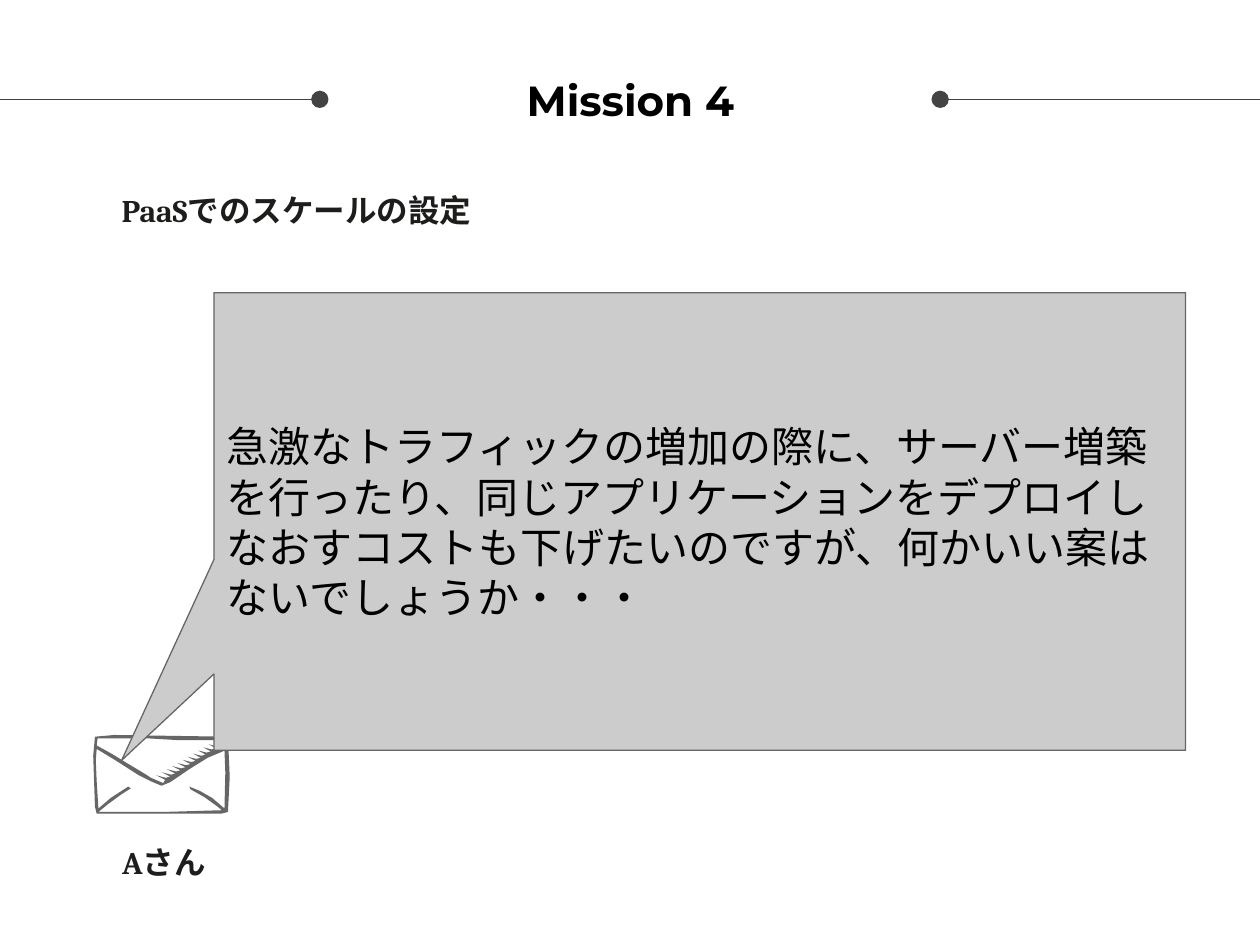
from lxml import etree
from pptx import Presentation
from pptx.dml.color import RGBColor
from pptx.enum import shapes, text
from pptx.oxml import ns
from pptx.util import Pt

BLACK = RGBColor(0x00, 0x00, 0x00)
INK = RGBColor(0x1D, 0x1D, 0x1B)
RULE = RGBColor(0x43, 0x43, 0x43)
OUTLINE = RGBColor(0x66, 0x66, 0x66)
BUBBLE = RGBColor(0xCC, 0xCC, 0xCC)

LEFT, CENTER = text.PP_ALIGN.LEFT, text.PP_ALIGN.CENTER
TOP, MIDDLE = text.MSO_ANCHOR.TOP, text.MSO_ANCHOR.MIDDLE
TITLE_FONT = {"name": "Montserrat", "size": Pt(24), "bold": True}
LABEL_FONT = {"name": "Cambria", "size": Pt(18), "bold": True}
SPEECH_FONT = {"name": "Arial", "size": Pt(24), "bold": False}

# Envelope contours, in points from its top left corner
ENVELOPE_EDGE = [(1, 1), (12, 0), (77, 1), (78, 24), (77, 44), (73, 45),
                 (42, 45), (2, 45), (1, 41), (0, 12)]
ENVELOPE_BODY = [(2, 8), (12, 14), (26, 23), (33, 26.5), (39, 29), (44, 27),
                 (55, 19.5), (65.5, 13), (75, 9), (75.5, 21.5), (75, 42),
                 (68, 36), (61, 32), (55, 29.5), (55.5, 31), (63.5, 35.5),
                 (70.5, 40.5), (73.5, 43), (40, 44), (3, 44), (8.5, 39.5),
                 (16, 34), (21.5, 30.5), (20, 29.5), (10, 36), (3, 42),
                 (2, 26.5), (1.5, 14.5)]
HATCHES = 12


def envelope_flap():
    """Flap opening, with a row of hatch strokes along its right fold."""
    flap = [(2.5, 2), (32, 2), (49, 3), (75.5, 3)]
    for i in range(HATCHES):
        flap += [(73.5 - 2.9 * i, 4.7 + 1.8 * i),
                 (69 - 3 * i, 3.6 + 1.77 * i),
                 (73 - 2.9 * i, 5.8 + 1.8 * i)]
    return flap + [(40, 27.5), (33, 24.5), (30, 22.5), (20, 16.5), (11, 11), (2, 6)]


class MissionSlide:
    def __init__(self, deck):
        self.slide = deck.slides.add_slide(deck.slide_layouts[5])
        self.inset = Pt(7.2)
        self.line_width = Pt(0.75)

    def set_text(self, shape, words, font, color, align=LEFT, anchor=TOP):
        frame = shape.text_frame
        frame.text = words
        frame_format = {"word_wrap": True, "auto_size": text.MSO_AUTO_SIZE.NONE,
                        "vertical_anchor": anchor}
        for side in ("left", "top", "right", "bottom"):
            frame_format["margin_" + side] = self.inset
        for name, value in frame_format.items():
            setattr(frame, name, value)
        paragraph = frame.paragraphs[0]
        paragraph.alignment = align
        for name, value in font.items():
            setattr(paragraph.font, name, value)
        paragraph.font.color.rgb = color

    def title(self, words, left, top, width, height):
        heading = self.slide.shapes.title
        place = {"left": left, "top": top, "width": width, "height": height}
        for name, value in place.items():
            setattr(heading, name, Pt(value))
        self.set_text(heading, words, TITLE_FONT, BLACK, CENTER, MIDDLE)

    def label(self, words, left, top, width, height, align=LEFT):
        box = self.slide.shapes.add_textbox(*map(Pt, (left, top, width, height)))
        self.set_text(box, words, LABEL_FONT, INK, align)

    def dotted_rule(self, dot_x, end_x, y):
        """Horizontal line with a round dot at dot_x."""
        rule = self.slide.shapes.add_connector(
            shapes.MSO_CONNECTOR.STRAIGHT, *map(Pt, (dot_x, y, end_x, y)))
        rule.line.color.rgb = RULE
        rule.line.width = self.line_width
        line_xml = rule._element.spPr.find(ns.qn("a:ln"))
        etree.SubElement(line_xml, ns.qn("a:headEnd"), type="oval", w="lg", len="lg")
        etree.SubElement(rule._element.spPr, ns.qn("a:effectLst"))

    def outline(self, contours, left, top, color):
        def place(points):
            return [(Pt(left + x), Pt(top + y)) for x, y in points]

        first, *holes = map(place, contours)
        builder = self.slide.shapes.build_freeform(*first[0], scale=1.0)
        builder.add_line_segments(first[1:], close=True)
        for hole in holes:
            builder.move_to(*hole[0])
            builder.add_line_segments(hole[1:], close=True)
        drawing = builder.convert_to_shape()
        drawing.shadow.inherit = False
        drawing.fill.solid()
        drawing.fill.fore_color.rgb = color
        drawing.line.fill.background()

    def speech(self, words, left, top, width, height, tail):
        bubble = self.slide.shapes.add_shape(
            shapes.MSO_SHAPE.ROUNDED_RECTANGULAR_CALLOUT,
            *map(Pt, (left, top, width, height)))
        for i, value in enumerate((*tail, 0)):
            bubble.adjustments[i] = value
        bubble.shadow.inherit = False
        bubble.fill.solid()
        bubble.fill.fore_color.rgb = BUBBLE
        bubble.line.color.rgb = OUTLINE
        bubble.line.width = self.line_width
        self.set_text(bubble, words, SPEECH_FONT, BLACK, anchor=MIDDLE)


def main():
    deck = Presentation()
    deck.slide_width, deck.slide_height = Pt(720), Pt(540)
    mission = MissionSlide(deck)
    mission.dotted_rule(182.75, 0, 56.75)
    mission.dotted_rule(537.25, 720, 56.75)
    mission.title("Mission 4", 183.5, 12.25, 353.5, 90)
    mission.label("PaaSでのスケールの設定", 62.5, 102.25, 595, 55.5)
    mission.outline([ENVELOPE_EDGE, ENVELOPE_BODY, envelope_flap()], 53.3, 420, OUTLINE)
    mission.speech("急激なトラフィックの増加の際に、サーバー増築を行ったり、"
                   "同じアプリケーションをデプロイしなおすコストも下げたいのですが、"
                   "何かいい案はないでしょうか・・・",
                   122.25, 167.25, 555.25, 261.5, tail=(-0.595, 0.522))
    mission.label("Aさん", 54.75, 474.5, 77.75, 55.5, CENTER)
    deck.save("out.pptx")


if __name__ == "__main__":
    main()
